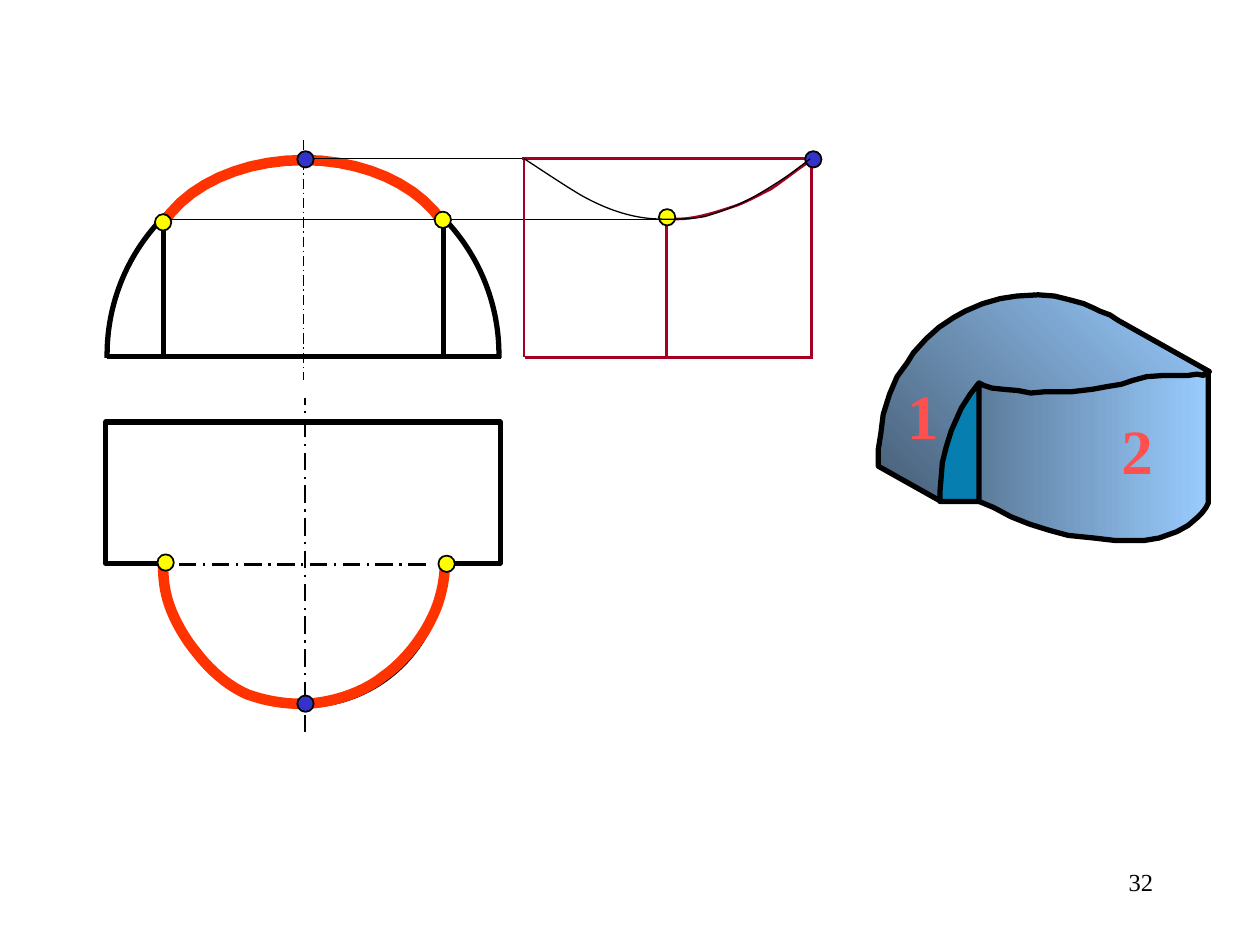
from lxml import etree
from pptx import Presentation, util as u
from pptx.dml.color import RGBColor
from pptx.enum import dml, shapes, text
from pptx.oxml.ns import qn

BLACK = RGBColor(0x00, 0x00, 0x00)
WHITE = RGBColor(0xFF, 0xFF, 0xFF)
ORANGE = RGBColor(0xFF, 0x33, 0x00)
CRIMSON = RGBColor(0xA5, 0x00, 0x21)
YELLOW = RGBColor(0xFF, 0xFF, 0x00)
BLUE = RGBColor(0x33, 0x33, 0xCC)
TEAL = RGBColor(0x06, 0x7F, 0xB0)
SLATE = RGBColor(0x47, 0x5E, 0x76)
STEEL = RGBColor(0x5D, 0x7C, 0x9B)
SKY = RGBColor(0x99, 0xCC, 0xFF)
CORAL = RGBColor(0xFF, 0x50, 0x50)
FONT = "Times New Roman"
DOT = 0.13

# Curves: a start point, then two control points and an end point per segment
FRONT_ARC = [(1.29, 1.78), (1.48, 1.47), (1.92, 1.27), (2.41, 1.27),
             (2.88, 1.27), (3.31, 1.46), (3.51, 1.76)]
PLAN_ARC = [(3.07, 3.55), (3.19, 3.66), (3.31, 3.78), (3.39, 3.92),
            (3.46, 4.06), (3.52, 4.22), (3.53, 4.39), (3.54, 4.55), (3.51, 4.74), (3.43, 4.9),
            (3.35, 5.07), (3.2, 5.26), (3.04, 5.37), (2.89, 5.49), (2.68, 5.56), (2.5, 5.58),
            (2.32, 5.6), (2.12, 5.57), (1.96, 5.51), (1.8, 5.44), (1.66, 5.31), (1.56, 5.18),
            (1.46, 5.06), (1.37, 4.9), (1.33, 4.76), (1.29, 4.62), (1.29, 4.49), (1.3, 4.34),
            (1.32, 4.2), (1.36, 4.03), (1.42, 3.9), (1.48, 3.77), (1.58, 3.67), (1.67, 3.56)]
SIDE_HALF = [(5.29, 1.74), (5.37, 1.74), (5.45, 1.74), (5.54, 1.72),
             (5.64, 1.7), (5.76, 1.66), (5.85, 1.63), (5.95, 1.59), (6.02, 1.55), (6.12, 1.5),
             (6.21, 1.44), (6.36, 1.32), (6.43, 1.28)]
SIDE_FULL = [(4.16, 1.26), (4.24, 1.31), (4.49, 1.48), (4.63, 1.56),
             (4.76, 1.63), (4.86, 1.67), (4.97, 1.7), (5.08, 1.73), (5.18, 1.74), (5.29, 1.74),
             (5.39, 1.74), (5.48, 1.74), (5.59, 1.72), (5.7, 1.69), (5.83, 1.64), (5.93, 1.59),
             (6.03, 1.54), (6.12, 1.48), (6.2, 1.43), (6.29, 1.37), (6.38, 1.3), (6.43, 1.26)]

# Faces of the solid
HALF_CYLINDER = [(9.6, 2.95), (8.87, 2.54), (8.81, 2.5), (8.73, 2.47), (8.69, 2.45), (8.6, 2.41),
                 (8.49, 2.38), (8.37, 2.35), (8.24, 2.34), (8.07, 2.35), (7.94, 2.37), (7.8, 2.41),
                 (7.66, 2.47), (7.57, 2.52), (7.45, 2.6), (7.35, 2.69), (7.25, 2.8), (7.2, 2.88),
                 (7.12, 2.99), (7.06, 3.13), (7.01, 3.29), (6.99, 3.45), (6.97, 3.57), (6.97, 3.7),
                 (7.47, 3.98)]
END_FACE = [(7.82, 3.98), (7.46, 3.98), (7.46, 3.91), (7.47, 3.79), (7.48, 3.67), (7.51, 3.55),
            (7.55, 3.42), (7.63, 3.24), (7.7, 3.13), (7.77, 3.04)]
ROUND_WALL = [(7.77, 3.98), (7.77, 3.04), (7.81, 3.06), (7.87, 3.08), (7.96, 3.09), (8.08, 3.1),
              (8.18, 3.12), (8.29, 3.11), (8.39, 3.11), (8.5, 3.11), (8.67, 3.09), (8.78, 3.07),
              (8.9, 3.05), (8.99, 3.02), (9.1, 2.99), (9.24, 2.98), (9.34, 2.98), (9.43, 2.98),
              (9.5, 2.97), (9.55, 2.98), (9.59, 2.95), (9.59, 3.99), (9.57, 4.03), (9.54, 4.07),
              (9.5, 4.11), (9.43, 4.17), (9.34, 4.22), (9.2, 4.27), (9.08, 4.29), (8.98, 4.29),
              (8.85, 4.29), (8.68, 4.27), (8.48, 4.25), (8.33, 4.21), (8.17, 4.16), (8.02, 4.1),
              (7.89, 4.03)]


def style(shape, fill=None, line=None, width=1):
    shape.shadow.inherit = False
    if fill is None:
        shape.fill.background()
    else:
        shape.fill.solid()
        shape.fill.fore_color.rgb = fill
    if line is None:
        shape.line.fill.background()
    else:
        shape.line.color.rgb = line
        shape.line.width = u.Pt(width)


def add_preset(parent, kind, box, **look):
    style(parent.add_shape(kind, *map(u.Inches, box)), **look)


def add_rect(parent, box, **look):
    add_preset(parent, shapes.MSO_SHAPE.RECTANGLE, box, **look)


def add_ellipse(parent, box, **look):
    add_preset(parent, shapes.MSO_SHAPE.OVAL, box, **look)


def add_line(parent, start, end, color, width, axis=False):
    """Draw a straight line; an axis is dash-dotted."""
    line = parent.add_connector(shapes.MSO_CONNECTOR.STRAIGHT, *map(u.Inches, start + end))
    line.line.color.rgb = color
    line.line.width = u.Pt(width)
    if axis:
        line.line.dash_style = dml.MSO_LINE.LONG_DASH_DOT
    etree.SubElement(line._element.spPr, qn("a:effectLst"))


def add_outline(parent, points, close, **look):
    start, *rest = [(u.Inches(x), u.Inches(y)) for x, y in points]
    builder = parent.build_freeform(*start)
    builder.add_line_segments(rest, close=close)
    outline = builder.convert_to_shape()
    style(outline, **look)
    return outline


def add_curve(parent, nodes, color, width, steps=10):
    """Draw chained cubic Bezier segments as a fine polyline."""
    points = nodes[:1]
    for i in range(0, len(nodes) - 1, 3):
        segment = nodes[i:i + 4]
        for step in range(1, steps + 1):
            t = step / steps
            weights = ((1 - t) ** 3, 3 * t * (1 - t) ** 2, 3 * t * t * (1 - t), t ** 3)
            points.append(tuple(sum(w * node[axis] for w, node in zip(weights, segment))
                                for axis in (0, 1)))
    add_outline(parent, points, False, line=color, width=width)


def add_face(parent, points, fill, shade_to=None, angle=0):
    face = add_outline(parent, points, True, fill=fill, line=BLACK, width=3)
    if shade_to is not None:
        face.fill.gradient()
        face.fill.gradient_angle = angle
        for stop, color, position in zip(face.fill.gradient_stops, (fill, shade_to), (0, 1)):
            stop.color.rgb = color
            stop.position = position


def add_text(parent, box, words, size, color, align, bold=False, wrap=False):
    frame = parent.add_textbox(*map(u.Inches, box)).text_frame
    frame.word_wrap = wrap
    paragraph = frame.paragraphs[0]
    paragraph.text = words
    paragraph.alignment = align
    font = paragraph.font
    font.name, font.size, font.bold = FONT, u.Pt(size), bold
    font.color.rgb = color
    return paragraph


def add_front_and_plan(parent):
    add_ellipse(parent, (0.85, 1.26, 3.11, 3.11), line=BLACK, width=3)
    add_rect(parent, (0.58, 2.85, 3.53, 1.74), fill=WHITE, line=WHITE, width=0.75)
    add_line(parent, (0.85, 2.83), (3.98, 2.83), BLACK, 3)
    add_line(parent, (2.41, 1.11), (2.41, 3.02), BLACK, 0.75, axis=True)
    for x in (1.3, 3.52):
        add_line(parent, (x, 2.82), (x, 1.72), BLACK, 3)
    add_ellipse(parent, (1.3, 3.38, 2.22, 2.22), fill=WHITE, line=BLACK, width=3)
    add_rect(parent, (0.84, 3.35, 3.13, 1.12), fill=WHITE, line=BLACK, width=3)
    add_rect(parent, (1.32, 4.38, 2.18, 0.16), fill=WHITE)
    add_line(parent, (2.42, 5.81), (2.42, 3.16), BLACK, 1.25, axis=True)
    add_line(parent, (1.42, 4.48), (3.39, 4.48), BLACK, 1.25, axis=True)


def add_solid(parent):
    add_face(parent, HALF_CYLINDER, SLATE, SKY, 45)
    add_face(parent, END_FACE, TEAL)
    add_face(parent, ROUND_WALL, STEEL, SKY)
    for number, left, top in (("1", 7.1, 2.94), ("2", 8.8, 3.22)):
        add_text(parent, (left, top, 0.45, 0.7), number, 36, CORAL, text.PP_ALIGN.CENTER, bold=True)


def add_plan_arc(parent):
    add_curve(parent, PLAN_ARC, ORANGE, 6)
    for left in (1.11, 2.97):
        add_rect(parent, (left, 3.44, 0.75, 0.98), fill=WHITE, line=WHITE, width=0.75)


def add_side_view(parent):
    add_line(parent, (1.3, 1.74), (5.31, 1.74), BLACK, 0.75)
    add_line(parent, (2.43, 1.26), (6.52, 1.26), BLACK, 0.75)
    for start, end in (((4.17, 2.84), (6.45, 2.84)), ((4.14, 1.26), (6.42, 1.26)),
                       ((6.44, 1.28), (6.44, 2.84)), ((4.16, 1.27), (4.16, 2.83)),
                       ((5.29, 1.71), (5.29, 2.83))):
        add_line(parent, start, end, CRIMSON, 1.5)
    add_curve(parent, SIDE_HALF, CRIMSON, 1.5)


def add_points(parent):
    for color, corners in ((BLUE, ((2.36, 5.52), (2.36, 1.2), (6.39, 1.2))),
                           (YELLOW, ((3.48, 4.41), (1.25, 4.4), (1.23, 1.7),
                                     (5.23, 1.66), (3.45, 1.68)))):
        for left, top in corners:
            add_ellipse(parent, (left, top, DOT, DOT), fill=color, line=BLACK, width=1)


def main():
    deck = Presentation()
    deck.slide_width, deck.slide_height = u.Inches(10), u.Inches(7.5)
    canvas = deck.slides.add_slide(deck.slide_layouts[6]).shapes
    page_number = add_text(canvas, (7.17, 6.83, 2.08, 0.5), "32", 14, BLACK,
                           text.PP_ALIGN.RIGHT, wrap=True)
    page_number.space_before = u.Pt(8.8)
    for draw in (add_front_and_plan, add_solid, add_plan_arc):
        draw(canvas.add_group_shape().shapes)
    add_curve(canvas, FRONT_ARC, ORANGE, 6)
    add_side_view(canvas)
    add_points(canvas)
    add_curve(canvas, SIDE_FULL, BLACK, 0.75)
    deck.save("out.pptx")


if __name__ == "__main__":
    main()
